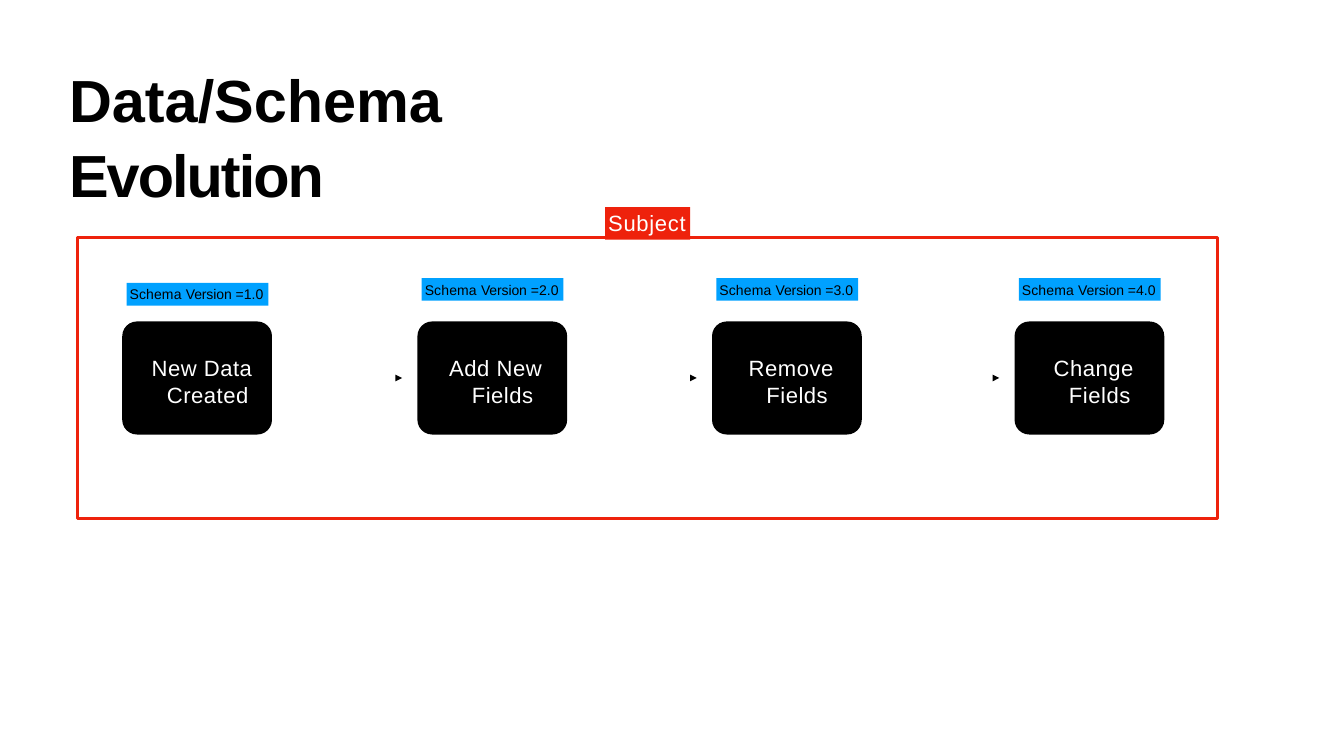
from pptx import Presentation
from pptx.dml.color import RGBColor
from pptx.enum.shapes import MSO_SHAPE as SHAPE
from pptx.enum.text import MSO_ANCHOR as ANCHOR
from pptx.util import Inches, Pt

COLORS = {
    "black": "000000",
    "white": "FFFFFF",
    "blue": "00A1FF",
    "red": "EE220C",
}
STEPS = [
    (2.0, 4.63, "New Data\vCreated", 0.41, 0.25),
    (6.83, 4.55, "Add New\vFields", 0.45, 0.37),
    (11.65, 4.55, "Remove\vFields", 0.53, 0.29),
    (16.6, 4.55, "Change\vFields", 0.57, 0.25),
]
CARD_TOP, CARD_W, CARD_H = 5.26, 2.45, 1.85
ARROW_GAP, ARROW_SIZE = 0.3, 0.11


def rgb(name):
    return RGBColor.from_string(COLORS[name])


def write(s, runs, size, color, left=0, top=0, before=0, spacing=1.0, hang=0, bold=False):
    tf = s.text_frame
    tf.word_wrap = True
    tf.vertical_anchor = ANCHOR.TOP
    tf.margin_left, tf.margin_top = Inches(left), Inches(top)
    tf.margin_right = tf.margin_bottom = 0
    p = tf.paragraphs[0]
    p.space_before, p.line_spacing = Pt(before), spacing
    pPr = p._p.get_or_add_pPr()
    pPr.set("algn", "l")
    pPr.set("marL", str(Inches(hang)))
    pPr.set("indent", str(-Inches(hang)))
    p.font.name, p.font.size, p.font.bold = "Arial", Pt(size), bold
    p.font.color.rgb = rgb(color)
    for text, tracking in runs:
        for i, line in enumerate(text.split("\v")):
            if i:
                p.add_line_break()
            r = p.add_run()
            r.text = line
            r.font._element.set("spc", str(round(tracking * 100)))


def add_box(slide, x, y, w, h, fill=None, kind=SHAPE.RECTANGLE):
    s = slide.shapes.add_shape(kind, Inches(x), Inches(y), Inches(w), Inches(h))
    s.shadow.inherit = False
    s.line.fill.background()
    if fill:
        s.fill.solid()
        s.fill.fore_color.rgb = rgb(fill)
    else:
        s.fill.background()
    return s


def add_title(slide):
    s = slide.shapes.add_textbox(Inches(1.12), Inches(0.97), Inches(10.3), Inches(2.4))
    runs = [("Data/Schema ", 0), ("Evolution", -2.3)]
    write(s, runs, 70, "black", left=0.01, top=0.01, before=1.1, spacing=1.05, bold=True)


def add_card(slide, x, text, left, hang):
    s = add_box(slide, x, CARD_TOP, CARD_W, CARD_H, "black", SHAPE.ROUNDED_RECTANGLE)
    s.adjustments[0] = 0.13
    write(s, [(text, 0.6)], 26, "white", left=left, top=0.46, before=0.4, spacing=1.03, hang=hang)


def add_version(slide, x, y, number):
    s = add_box(slide, x, y, 2.32, 0.37, "blue")
    runs = [("Schema ", 0.2), ("Version ", -0.1), (f"={number}.0", 0.1)]
    write(s, runs, 16.5, "black", left=0.05, top=0.05, before=3.4)


def add_arrowhead(slide, card_x):
    tip, mid = card_x - ARROW_GAP + 0.05, CARD_TOP + CARD_H / 2
    back, half = tip - ARROW_SIZE, ARROW_SIZE / 2
    builder = slide.shapes.build_freeform(Inches(tip), Inches(mid))
    corners = [(back, mid - half), (back, mid + half)]
    builder.add_line_segments([(Inches(x), Inches(y)) for x, y in corners], close=True)
    s = builder.convert_to_shape()
    s.shadow.inherit = False
    s.fill.solid()
    s.fill.fore_color.rgb = rgb("black")
    s.line.fill.background()


def add_subject(slide):
    frame = add_box(slide, 1.27, 3.88, 18.65, 4.61)
    frame.line.color.rgb = rgb("red")
    frame.line.width = Pt(3.3)
    tag = add_box(slide, 9.9, 3.39, 1.39, 0.53, "red")
    write(tag, [("Subject", 0.8)], 26, "white", left=0.05, top=0.04, before=3)


def main():
    prs = Presentation()
    prs.slide_width, prs.slide_height = Inches(21.99), Inches(12.37)
    slide = prs.slides.add_slide(prs.slide_layouts[6])
    add_title(slide)
    for number, (x, tag_y, text, left, hang) in enumerate(STEPS, 1):
        if number > 1:
            add_arrowhead(slide, x)
        add_card(slide, x, text, left, hang)
        add_version(slide, x + 0.07, tag_y, number)
    add_subject(slide)
    prs.save("out.pptx")


main()
